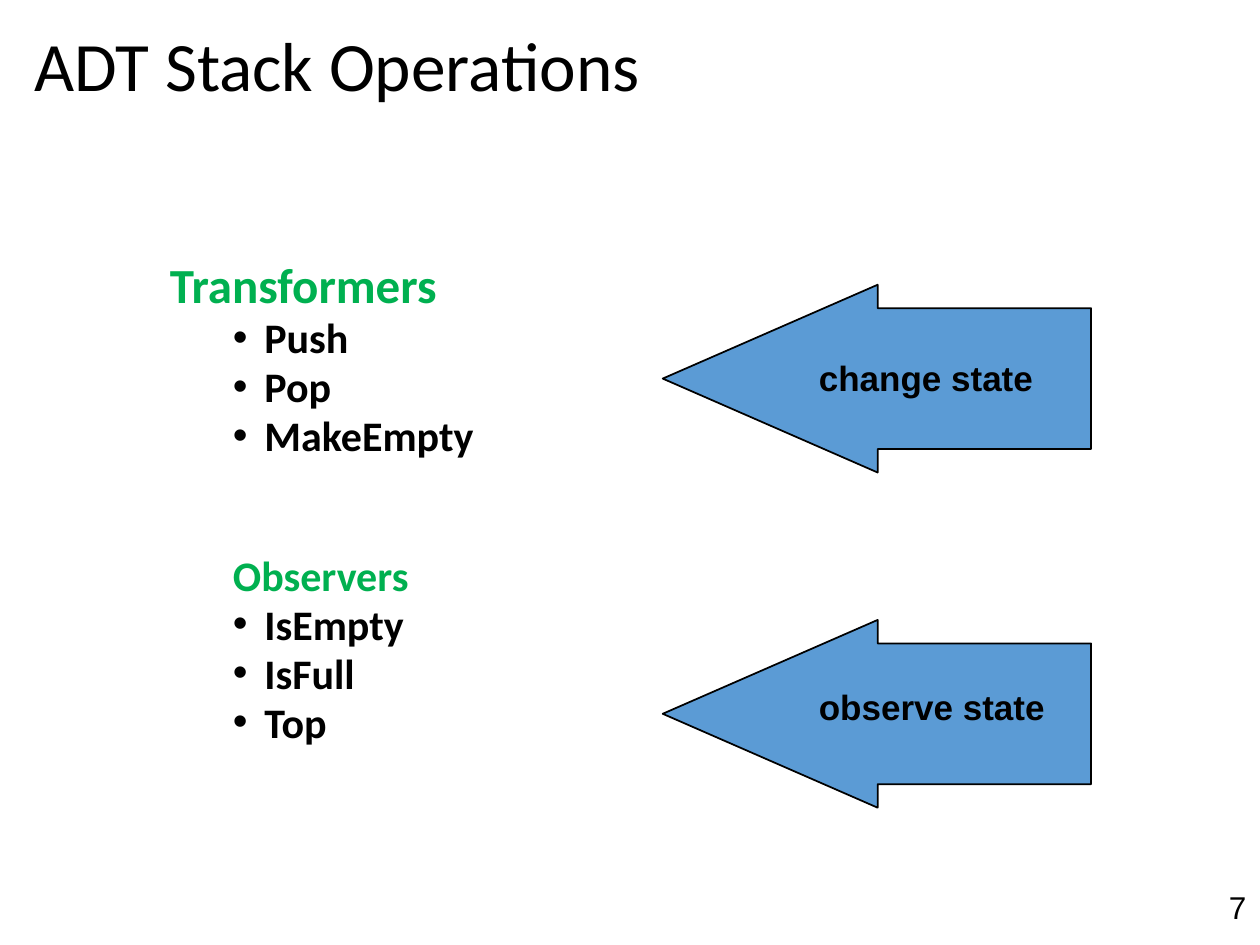
from pptx import Presentation
from pptx.dml.color import RGBColor
from pptx.enum.shapes import MSO_SHAPE as Shape
from pptx.enum.text import MSO_ANCHOR as Anchor, PP_ALIGN as Align
from pptx.oxml.ns import qn
from pptx.util import Inches, Pt
from lxml import etree


def color(hex_string):
    return RGBColor.from_string(hex_string)


def set_font(paragraph, name, size, hex_string, bold=False):
    font = paragraph.font
    font.name, font.size, font.bold = name, Pt(size), bold
    font.color.rgb = color(hex_string)


prs = Presentation()
prs.slide_width, prs.slide_height = Inches(10), Inches(7.5)
slide = prs.slides.add_slide(prs.slide_layouts[5])

# Title
title = slide.shapes.title
title.left, title.top = Inches(0.17), Inches(0.18)
title.width, title.height = Inches(9.62), Inches(0.74)
title.text_frame.text = "ADT Stack Operations"
title.text_frame.vertical_anchor = Anchor.MIDDLE
heading = title.text_frame.paragraphs[0]
heading.alignment, heading.line_spacing = Align.LEFT, 0.9
set_font(heading, "Calibri", 39.6, "000000")

# Operations: text, size, colour, space before, left margin, first-line indent
operations = [("Transformers", 28, "00B050", 10, 0.25, -0.25)]
operations += [(name, 24, "000000", 5, 0.75, -0.25) for name in ("Push", "Pop", "MakeEmpty")]
operations += [("Observers", 24, "00B050", 56.5, 0.5, 0)]
operations += [(name, 24, "000000", 5, 0.75, -0.25) for name in ("IsEmpty", "IsFull", "Top")]

body = slide.shapes.add_textbox(Inches(1.25), Inches(2.06), Inches(7.08), Inches(4.58)).text_frame
body.word_wrap = True
for i, (text, size, text_color, gap, margin, indent) in enumerate(operations):
    line = body.add_paragraph() if i else body.paragraphs[0]
    line.text = text
    line.line_spacing, line.space_before = 0.8, Pt(gap)
    set_font(line, "Calibri", size, text_color, bold=True)
    props = line._p.get_or_add_pPr()
    props.set("marL", str(Inches(margin)))
    props.set("indent", str(Inches(indent)))
    if margin == 0.75:
        bullet_font = etree.SubElement(props, qn("a:buFont"))
        bullet_font.set("typeface", "Arial")
        bullet = etree.SubElement(props, qn("a:buChar"))
        bullet.set("char", "•")
        # Bullets must come before the default run properties
        props.append(props.find(qn("a:defRPr")))

# Arrows pointing at the two groups
for top in (4.92, 2.26):
    arrow = slide.shapes.add_shape(Shape.LEFT_ARROW, Inches(5.26), Inches(top), Inches(3.4), Inches(1.49))
    arrow.adjustments[0], arrow.adjustments[1] = 0.75, 1.145
    arrow.shadow.inherit = False
    arrow.fill.solid()
    arrow.fill.fore_color.rgb = color("5B9BD5")
    arrow.line.color.rgb = color("000000")
    arrow.line.width = Pt(1)

# Arrow labels
labels = slide.shapes.add_textbox(Inches(6.4), Inches(2.78), Inches(2.01), Inches(4.17)).text_frame
labels.word_wrap = False
labels.text = "change state\nobserve state"
for label in labels.paragraphs:
    set_font(label, "Arial", 20, "000000", bold=True)
labels.paragraphs[1].space_before = Pt(164)

# Slide number
number = slide.shapes.add_textbox(Inches(7.91), Inches(7), Inches(2.08), Inches(0.5)).text_frame
number.word_wrap = True
number.text = "7"
number.paragraphs[0].alignment = Align.RIGHT
set_font(number.paragraphs[0], "Arial", 18, "000000")

prs.save("out.pptx")
